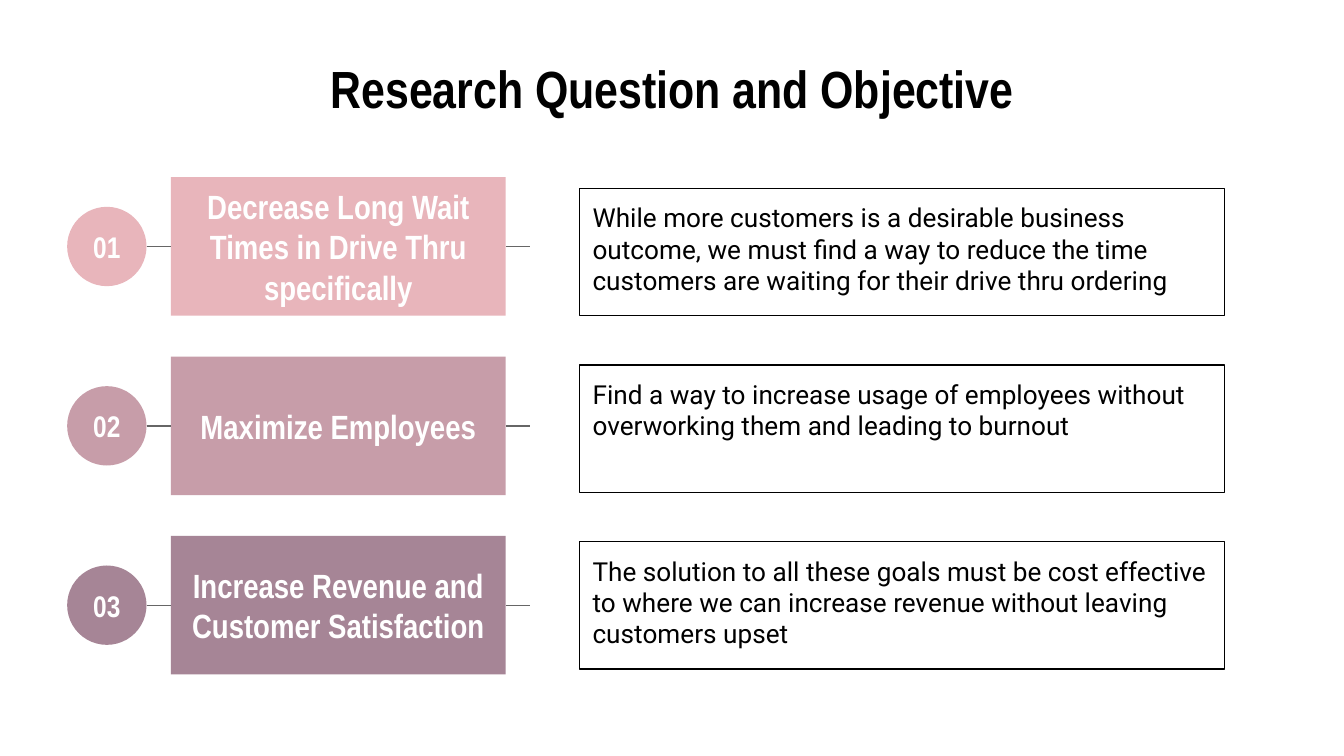
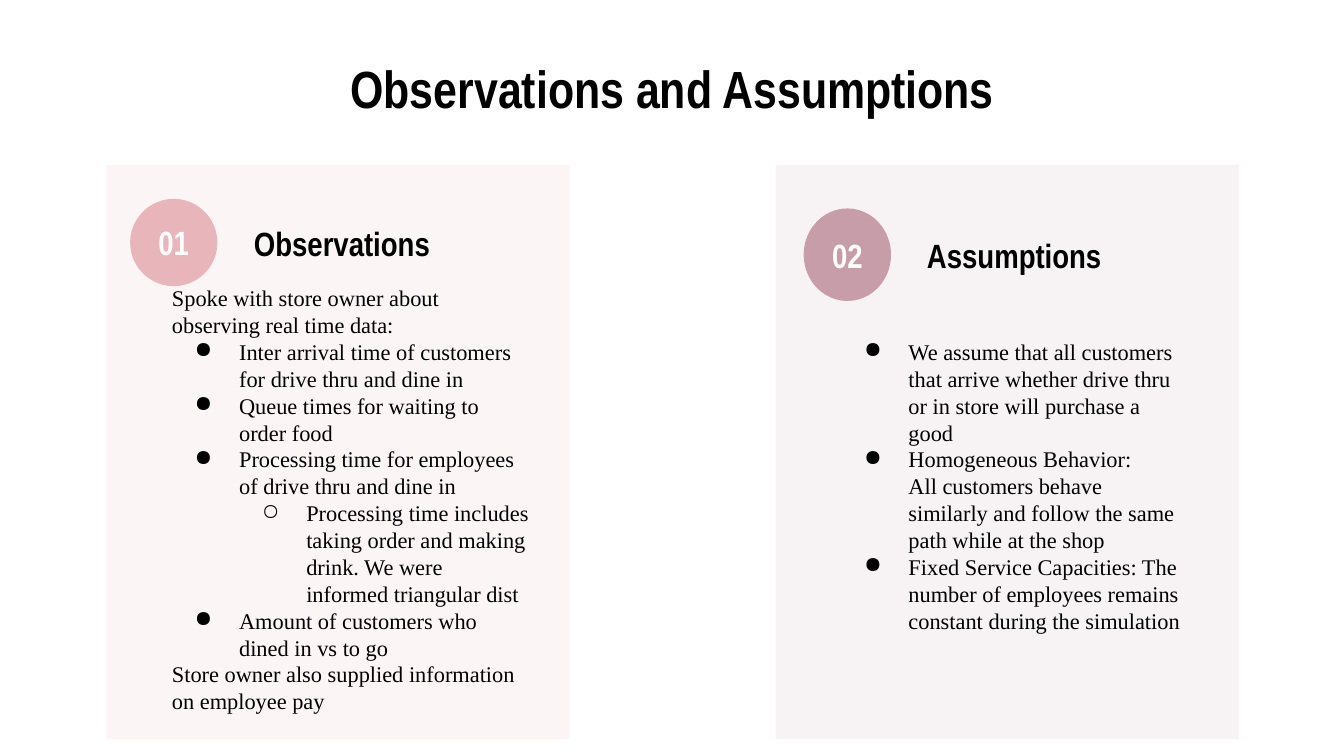
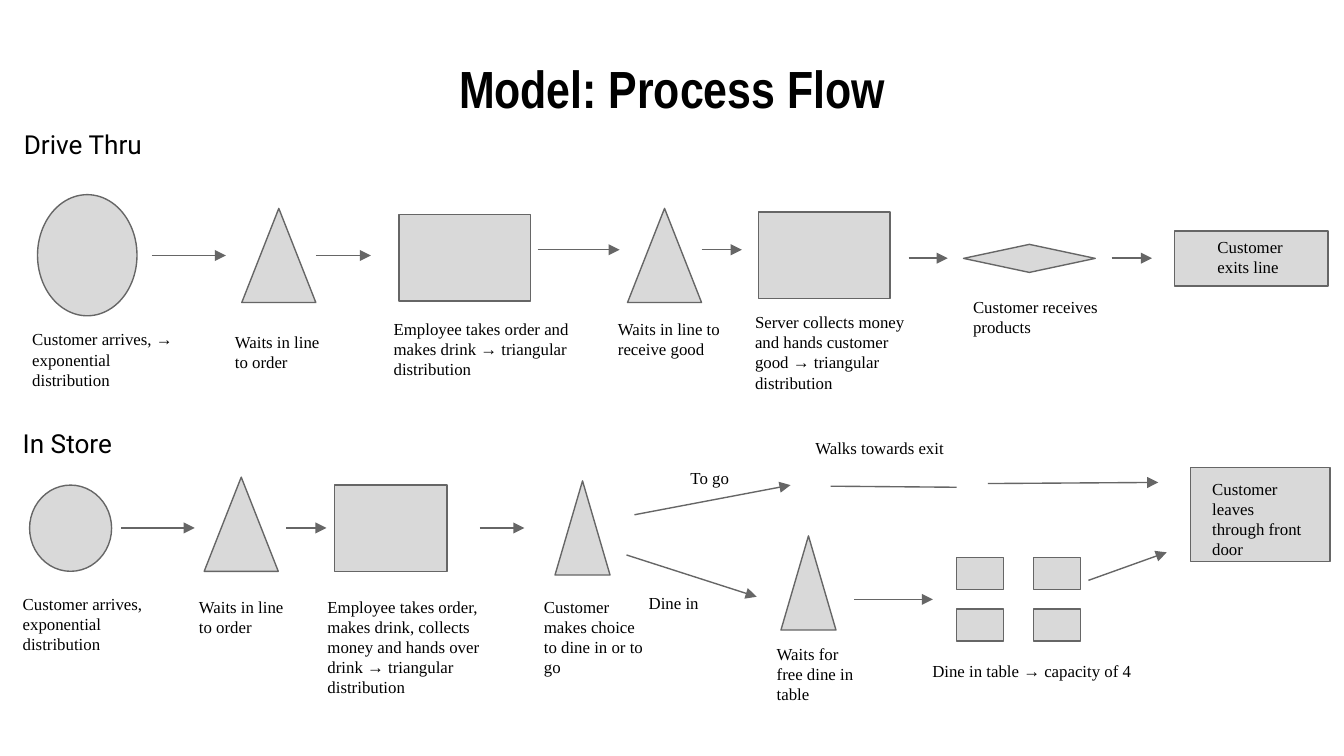
from lxml import etree
from pptx import Presentation
from pptx import util as u
from pptx.dml.color import RGBColor
from pptx.enum import shapes, text
from pptx.oxml.ns import qn

COLORS = {
    "black": "000000", "white": "FFFFFF", "rose": "E8B5BB", "mauve": "C79DA9",
    "plum": "A68596", "line": "666666", "step": "D9D9D9",
}
HEADING, BODY, SERIF = "Arial Narrow", "Roboto", "Times New Roman"
INSET = 0.25
OVAL, RECT = shapes.MSO_SHAPE.OVAL, shapes.MSO_SHAPE.RECTANGLE
TRIANGLE = shapes.MSO_SHAPE.ISOSCELES_TRIANGLE
DECISION = shapes.MSO_SHAPE.FLOWCHART_DECISION

OBJECTIVES = [
    ("rose", "Decrease Long Wait Times in Drive Thru specifically",
     "While more customers is a desirable business outcome, we must find a way to "
     "reduce the time customers are waiting for their drive thru ordering"),
    ("mauve", "Maximize Employees",
     "Find a way to increase usage of employees without overworking them and leading to burnout"),
    ("plum", "Increase Revenue and Customer Satisfaction",
     "The solution to all these goals must be cost effective to where we can increase "
     "revenue without leaving customers upset"),
]

CARDS = [
    {"color": "rose", "left": 2.01, "badge": (2.46, 3.76, 1.65, 1.65),
     "heading": "Observations", "heading_at": (4.55, 4.22, 5.72, 0.76),
     "points_at": (3, 5.11, 7.26, 8.66), "bottom": INSET,
     "points": [
         ("", 0, "Spoke with store owner about observing real time data:"),
         ("●", 1, "Inter arrival time of customers for drive thru and dine in"),
         ("●", 1, "Queue times for waiting to order food"),
         ("●", 1, "Processing time for employees of drive thru and dine in"),
         ("○", 2, "Processing time includes taking order and making drink. "
                  "We were informed triangular dist"),
         ("●", 1, "Amount of customers who dined in vs to go"),
         ("", 0, "Store owner also supplied information on employee pay"),
     ]},
    {"color": "mauve", "left": 14.66, "badge": (15.19, 3.94, 1.65, 1.75),
     "heading": "Assumptions", "heading_at": (17.27, 4.42, 5.72, 0.81),
     "points_at": (15.65, 5.03, 6.93, 8.76), "bottom": 0.7,
     "points": [
         ("●", 1, "We assume that all customers that arrive whether drive thru or in store "
                  "will purchase a good"),
         ("●", 1, "Homogeneous Behavior:"),
         ("", 1, "All customers behave similarly and follow the same path while at the shop"),
         ("●", 1, "Fixed Service Capacities: The number of employees remains constant "
                  "during the simulation"),
     ]},
]

LANES = [("Drive Thru", (0.2, 2.18, 3.66, 1.04)), ("In Store", (0.18, 7.82, 2.31, 0.71))]

STEPS = [
    (OVAL, (0.71, 3.68, 1.88, 2.29), (0.36, 5.97, 3.38),
     "Customer arrives, → exponential distribution"),
    (TRIANGLE, (4.57, 3.94, 1.4, 1.78), (4.19, 6.02, 2.13), "Waits in line to order"),
    (RECT, (7.54, 4.06, 2.49, 1.63), (7.19, 5.77, 3.81),
     "Employee takes order and makes drink → triangular distribution"),
    (TRIANGLE, (11.86, 3.94, 1.4, 1.78), (11.43, 5.77, 2.9), "Waits in line to receive good"),
    (RECT, (14.33, 4.01, 2.49, 1.63), (14.02, 5.64, 3.38),
     "Server collects money and hands customer good → triangular distribution"),
    (DECISION, (18.21, 4.62, 2.49, 0.53), (18.14, 5.36, 2.9), "Customer receives products"),
    (RECT, (22.2, 4.37, 2.9, 1.04), (22.76, 4.22, 2.13), "Customer exits line"),
    (OVAL, (0.56, 9.17, 1.55, 1.63), (0.18, 10.97, 3.38),
     "Customer arrives, exponential distribution"),
    (TRIANGLE, (3.86, 9.02, 1.4, 1.78), (3.51, 11.02, 2.13), "Waits in line to order"),
    (RECT, (6.32, 9.17, 2.13, 1.63), (5.94, 11.02, 3.81),
     "Employee takes order, makes drink, collects money and hands over drink "
     "→ triangular distribution"),
    (TRIANGLE, (10.49, 9.09, 1.04, 1.78), (10.03, 11.02, 2.49),
     "Customer makes choice to dine in or to go"),
    (TRIANGLE, (14.76, 10.13, 1.04, 1.78), (14.43, 11.91, 2.13),
     "Waits for free dine in table"),
    (RECT, (22.5, 8.84, 2.64, 1.78), (22.66, 8.79, 2.31), "Customer leaves through front door"),
]

BRANCH_LABELS = [
    ((12.8, 8.64, 2.13), "To go"),
    ((15.16, 8.08, 3.38), "Walks towards exit"),
    ((12.01, 11.02, 2.13), "Dine in"),
    ((17.37, 12.29, 5.23), "Dine in table → capacity of 4"),
]

ARROWS = [
    (2.87, 4.83, 4.27, 4.83), (5.97, 4.83, 7.01, 4.83), (10.16, 4.72, 11.71, 4.72),
    (13.26, 4.72, 14.02, 4.72), (17.17, 4.88, 17.91, 4.88), (21.01, 4.88, 21.77, 4.88),
    (2.29, 9.98, 3.68, 9.98), (5.41, 9.98, 6.17, 9.98), (9.07, 9.98, 9.91, 9.98),
    (11.99, 9.73, 14.94, 9.17), (11.84, 10.49, 14.3, 11.28), (16.15, 11.33, 17.63, 11.33),
    (18.67, 9.14, 21.89, 9.12), (20.57, 10.97, 22.05, 10.44),
]
WALK = (15.7, 9.19, 18.08, 9.21)


def rgb(color):
    return RGBColor.from_string(COLORS[color])


def write(holder, paragraphs, font, size, color="black", bold=False, center=False,
          middle=False, bottom=INSET):
    frame = holder.text_frame
    frame.word_wrap = True
    frame.margin_left = frame.margin_right = frame.margin_top = u.Cm(INSET)
    frame.margin_bottom = u.Cm(bottom)
    frame.vertical_anchor = text.MSO_ANCHOR.MIDDLE if middle else text.MSO_ANCHOR.TOP
    for i, words in enumerate(paragraphs):
        paragraph = frame.paragraphs[0] if i == 0 else frame.add_paragraph()
        paragraph.text = words
        paragraph.alignment = text.PP_ALIGN.CENTER if center else text.PP_ALIGN.LEFT
        paragraph.font.name, paragraph.font.size = font, u.Pt(size)
        paragraph.font.bold, paragraph.font.color.rgb = bold, rgb(color)
    return frame.paragraphs


def add_label(slide, at, words, font, size, **style):
    box = slide.shapes.add_textbox(*map(u.Cm, at))
    return write(box, words, font, size, **style)


def add_block(slide, preset, at, fill=None, line=None):
    block = slide.shapes.add_shape(preset, *map(u.Cm, at))
    block.shadow.inherit = False
    if fill:
        block.fill.solid()
        block.fill.fore_color.rgb = rgb(fill)
    else:
        block.fill.background()
    if line:
        block.line.color.rgb = rgb(line)
        block.line.width = u.Pt(0.75)
    else:
        block.line.fill.background()
    return block


def add_line(slide, ends, arrow=False):
    line = slide.shapes.add_connector(shapes.MSO_CONNECTOR.STRAIGHT, *map(u.Cm, ends))
    line.line.color.rgb = rgb("line")
    line.line.width = u.Pt(0.75)
    if arrow:
        etree.SubElement(line.line._get_or_add_ln(), qn("a:tailEnd"), type="triangle")
    etree.SubElement(line._element.spPr, qn("a:effectLst"))
    return line


def add_bullet(paragraph, mark, depth):
    properties = paragraph._p.get_or_add_pPr()
    properties.set("marL", str(u.Cm(1.27 * depth)))
    properties.set("indent", str(u.Cm(-0.84 if mark else 0)))
    if mark:
        paragraph.level = depth - 1
        bullet = etree.Element(qn("a:buChar"), char=mark)
        tint = etree.Element(qn("a:buClr"))
        etree.SubElement(tint, qn("a:srgbClr"), val=COLORS["black"])
        properties.insert(0, bullet)
        properties.insert(0, tint)


def add_badge(slide, at, number, color, size):
    badge = add_block(slide, OVAL, at, color)
    write(badge, [f"{number:02}"], HEADING, size, "white", True, True, True)


def add_slide(deck, title):
    slide = deck.slides.add_slide(deck.slide_layouts[6])
    add_label(slide, (1.27, 1.14, 22.86, 1.04), [title], HEADING, 28,
              bold=True, center=True, middle=True)
    return slide


def objectives(deck):
    slide = add_slide(deck, "Research Question and Objective")
    badge, goal_left, goal_width, goal_height, stub = 1.5, 3.23, 6.33, 2.62, 0.46
    for i, (color, goal, reason) in enumerate(OBJECTIVES):
        center = 4.66 + 3.39 * i
        goal_right = goal_left + goal_width
        add_badge(slide, (1.27, center - badge / 2, badge, badge), i + 1, color, 16)
        box = add_block(slide, RECT, (goal_left, center - goal_height / 2,
                                      goal_width, goal_height), color)
        write(box, [goal], HEADING, 18, "white", True, True, True)
        add_line(slide, (goal_left - stub, center, goal_left, center)).end_connect(box, 1)
        add_line(slide, (goal_right, center, goal_right + stub, center)).begin_connect(box, 3)
        note = add_block(slide, RECT, (10.95, 3.56 + 3.34 * i, 12.19, 2.41), line="black")
        write(note, [reason], BODY, 14)


def observations(deck):
    slide = add_slide(deck, "Observations and Assumptions")
    for number, card in enumerate(CARDS, 1):
        panel = add_block(slide, RECT, (card["left"], 3.12, 8.76, 10.85), card["color"])
        tint = panel._element.spPr.find(qn("a:solidFill")).find(qn("a:srgbClr"))
        etree.SubElement(tint, qn("a:alpha"), val="13000")
        add_label(slide, card["heading_at"], [card["heading"]], HEADING, 18,
                  bold=True, middle=True)
        points = add_label(slide, card["points_at"], [p[2] for p in card["points"]], SERIF, 12,
                           middle=True, bottom=card["bottom"])
        for paragraph, (mark, depth, _) in zip(points, card["points"]):
            add_bullet(paragraph, mark, depth)
        add_badge(slide, card["badge"], number, card["color"], 18)


def process_flow(deck):
    slide = add_slide(deck, "Model: Process Flow")
    for lane, at in LANES:
        add_label(slide, at, [lane], BODY, 14)
    for preset, at, _, _ in STEPS:
        add_block(slide, preset, at, "step", "line")
    for row in range(2):
        for column in range(2):
            add_block(slide, RECT, (18.08 + 1.45 * column, 10.54 + 0.97 * row, 0.89, 0.61),
                      "step", "line")
    for ends in ARROWS:
        add_line(slide, ends, arrow=True)
    add_line(slide, WALK)
    for at, words in [step[2:] for step in STEPS] + BRANCH_LABELS:
        add_label(slide, (*at, 0.61), [words], SERIF, 9)


def main():
    deck = Presentation()
    deck.slide_width, deck.slide_height = u.Cm(25.4), u.Cm(14.29)
    objectives(deck)
    observations(deck)
    process_flow(deck)
    deck.save("out.pptx")


if __name__ == "__main__":
    main()
